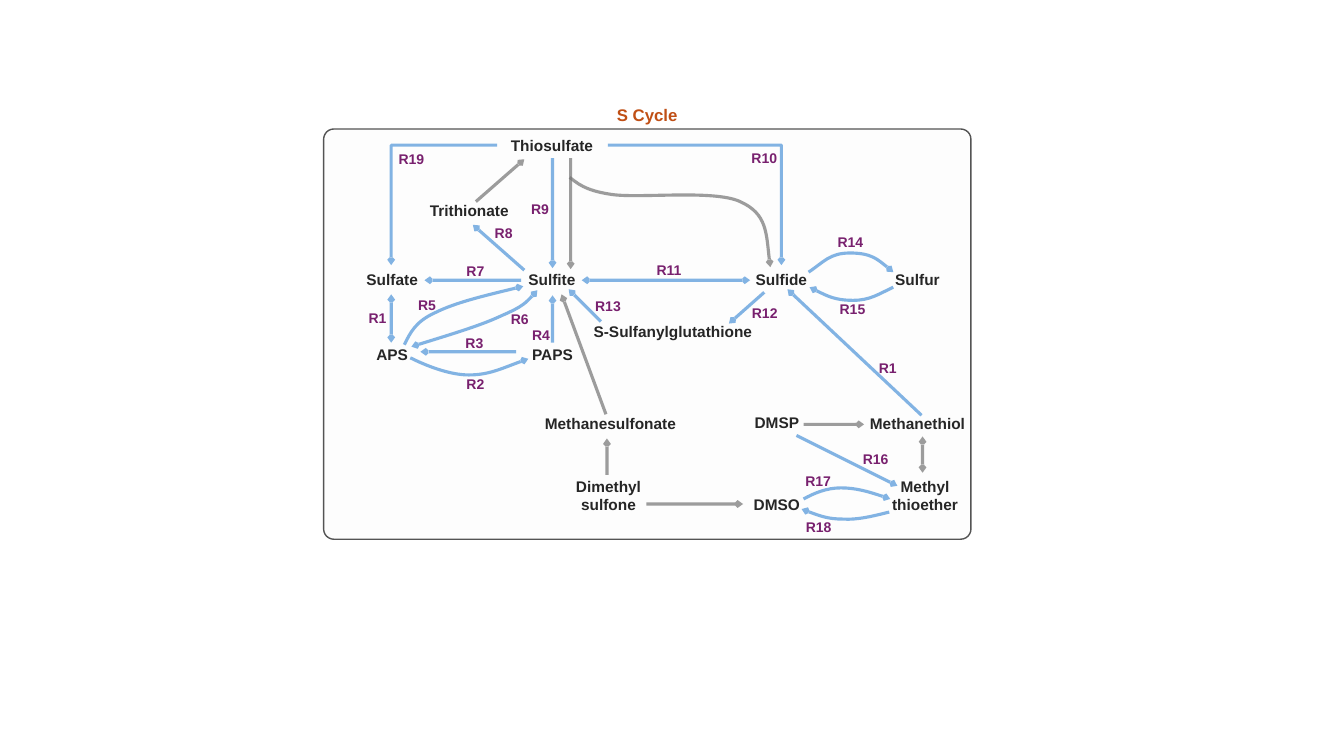
"""Build a slide that maps the reactions of the sulfur cycle."""
from lxml import etree
from pptx import Presentation
from pptx import util as u
from pptx.dml.color import RGBColor
from pptx.enum import shapes, text
from pptx.oxml.ns import qn

PX = 9144
BLUE, GREY = "4E95D9", "747474"
INK, PURPLE, RUST = "262626", "78206E", "C04F15"


def paint(fill, color, alpha=100):
    fill.solid()
    fill.fore_color.rgb = RGBColor.from_string(color)
    if alpha < 100:
        clr = fill._xPr.find(qn("a:solidFill"))[0]
        etree.SubElement(clr, qn("a:alpha"), val=str(alpha * 1000))


def stroke(sp, color, width, ends=()):
    paint(sp.line.fill, color, 70)
    sp.line.width = u.Pt(width)
    for end in ends:
        etree.SubElement(sp.line._ln, qn(f"a:{end}"), type="arrow", w="sm", len="sm")


prs = Presentation()
prs.slide_width, prs.slide_height = 1333 * PX, 750 * PX
s = prs.slides.add_slide(prs.slide_layouts[5])

frame = s.shapes.add_shape(shapes.MSO_SHAPE.ROUNDED_RECTANGLE,
                           321 * PX, 128 * PX, 642 * PX, 407 * PX)
frame.adjustments[0] = 0.025
frame.shadow.inherit = False
paint(frame.fill, "F2F2F2", 10)
stroke(frame, "0D0D0D", 1)

compounds = [
    ("Sulfate", 353, 263, 72), ("Sulfite", 514, 263, 67),
    ("Sulfide", 739, 263, 72), ("Sulfur", 874, 263, 72),
    ("APS", 353, 337, 72), ("PAPS", 512, 337, 72),
    ("Thiosulfate", 493, 130, 109), ("Trithionate", 411, 195, 109),
    ("Methanesulfonate", 525, 406, 161), ("Dimethyl sulfone", 549, 468, 109),
    ("DMSO", 716, 486, 109), ("DMSP", 716, 405, 109),
    ("Methyl thioether", 863, 468, 109), ("Methanethiol", 849, 406, 122),
    ("S-Sulfanylglutathione", 578, 315, 179),
]
reactions = [
    ("R7", 449, 256, 45), ("R1", 352, 302, 45), ("R5", 401, 289, 45),
    ("R6", 493, 303, 45), ("R3", 448, 327, 45), ("R2", 449, 368, 45),
    ("R4", 514, 319, 45), ("R13", 577, 290, 52), ("R12", 735, 297, 47),
    ("R17", 785, 464, 53), ("R18", 787, 509, 50), ("R16", 844, 442, 49),
    ("R1", 858, 352, 45), ("R15", 819, 293, 53), ("R14", 818, 227, 51),
    ("R8", 477, 218, 45), ("R9", 513, 194, 45), ("R10", 732, 143, 52),
    ("R11", 638, 255, 51), ("R19", 382, 144, 52),
]

straight = [
    (BLUE, 1, (517, 278), (421, 278)), (BLUE, 2, (744, 278), (577, 278)),
    (BLUE, 2, (388, 340), (388, 292)), (BLUE, 1, (548, 340), (548, 293)),
    (BLUE, 1, (512, 349), (417, 349)), (BLUE, 1, (520, 268), (469, 223)),
    (GREY, 1, (472, 200), (520, 158)), (BLUE, 1, (548, 157), (548, 266)),
    (GREY, 1, (566, 157), (566, 267)), (BLUE, 1, (758, 290), (723, 321)),
    (BLUE, 1, (596, 319), (564, 287)), (GREY, 1, (641, 500), (737, 500)),
    (GREY, 1, (602, 471), (602, 435)), (GREY, 1, (601, 411), (557, 292)),
    (GREY, 1, (797, 421), (857, 421)), (BLUE, 1, (790, 432), (890, 482)),
    (GREY, 2, (915, 469), (915, 433)), (BLUE, 1, (914, 412), (781, 287)),
]
bent = [
    (BLUE, 1, (493, 144), (388, 263)), (BLUE, 1, (603, 144), (775, 263)),
]
curved = [
    (BLUE, 1, (802, 270), (817, 260), (823, 251), (843, 251),
     (864, 251), (874, 260), (886, 270)),
    (BLUE, 1, (886, 285), (871, 292), (863, 298), (846, 298),
     (828, 298), (815, 291), (803, 285)),
    (BLUE, 1, (407, 355), (423, 363), (446, 372), (465, 372),
     (485, 372), (501, 364), (524, 356)),
    (BLUE, 1, (401, 342), (407, 330), (412, 319), (432, 310),
     (452, 300), (486, 292), (519, 284)),
    (BLUE, 2, (533, 288), (526, 296), (519, 304), (498, 313),
     (477, 323), (443, 333), (408, 344)),
    (GREY, 1, (565, 176), (572, 181), (579, 189), (607, 193), (635, 197),
     (708, 188), (734, 200), (761, 212), (760, 236), (764, 265)),
    (BLUE, 1, (797, 495), (808, 489), (820, 484), (834, 484),
     (849, 484), (866, 489), (883, 495)),
    (BLUE, 1, (882, 508), (866, 512), (850, 516), (836, 515),
     (821, 515), (808, 510), (795, 505)),
]

for preset, arrows in (("line", straight), ("bentConnector2", bent)):
    for color, heads, start, stop in arrows:
        sp = s.shapes.add_connector(shapes.MSO_CONNECTOR.STRAIGHT,
                                    *(v * PX for v in start + stop))
        sp._element.spPr.find(qn("a:prstGeom")).set("prst", preset)
        stroke(sp, color, 2.25, ("headEnd", "tailEnd")[2 - heads:])
        etree.SubElement(sp._element.spPr, qn("a:effectLst"))

for color, heads, start, *points in curved:
    builder = s.shapes.build_freeform(*start, scale=PX)
    builder.add_line_segments(points, close=False)
    sp = builder.convert_to_shape()
    outline = sp._element.find(".//" + qn("a:path"))
    for i, step in enumerate(outline.findall(qn("a:lnTo"))):
        if i % 3 == 0:
            curve = etree.SubElement(outline, qn("a:cubicBezTo"))
        curve.append(step[0])
        outline.remove(step)
    sp.fill.background()
    sp.shadow.inherit = False
    stroke(sp, color, 2.25, ("headEnd", "tailEnd")[2 - heads:])

groups = [
    (compounds, 29, 11, INK),
    (reactions, 27, 10, PURPLE),
    ([("S Cycle", 321, 99, 642)], 30, 12, RUST),
]
for labels, height, size, color in groups:
    for wording, left, top, width in labels:
        sp = s.shapes.title if color == RUST else s.shapes.add_textbox(0, 0, 0, 0)
        place = {"left": left, "top": top, "width": width, "height": height}
        for name, value in place.items():
            setattr(sp, name, value * PX)
        tf = sp.text_frame
        style = {"word_wrap": True, "auto_size": text.MSO_AUTO_SIZE.NONE,
                 "vertical_anchor": text.MSO_ANCHOR.TOP}
        for name, value in style.items():
            setattr(tf, name, value)
        p = tf.paragraphs[0]
        p.alignment = text.PP_ALIGN.CENTER
        r = p.add_run()
        r.text = wording
        for name, value in {"name": "Arial", "size": u.Pt(size), "bold": True}.items():
            setattr(r.font, name, value)
        paint(r.font.fill, color)

prs.save("out.pptx")
